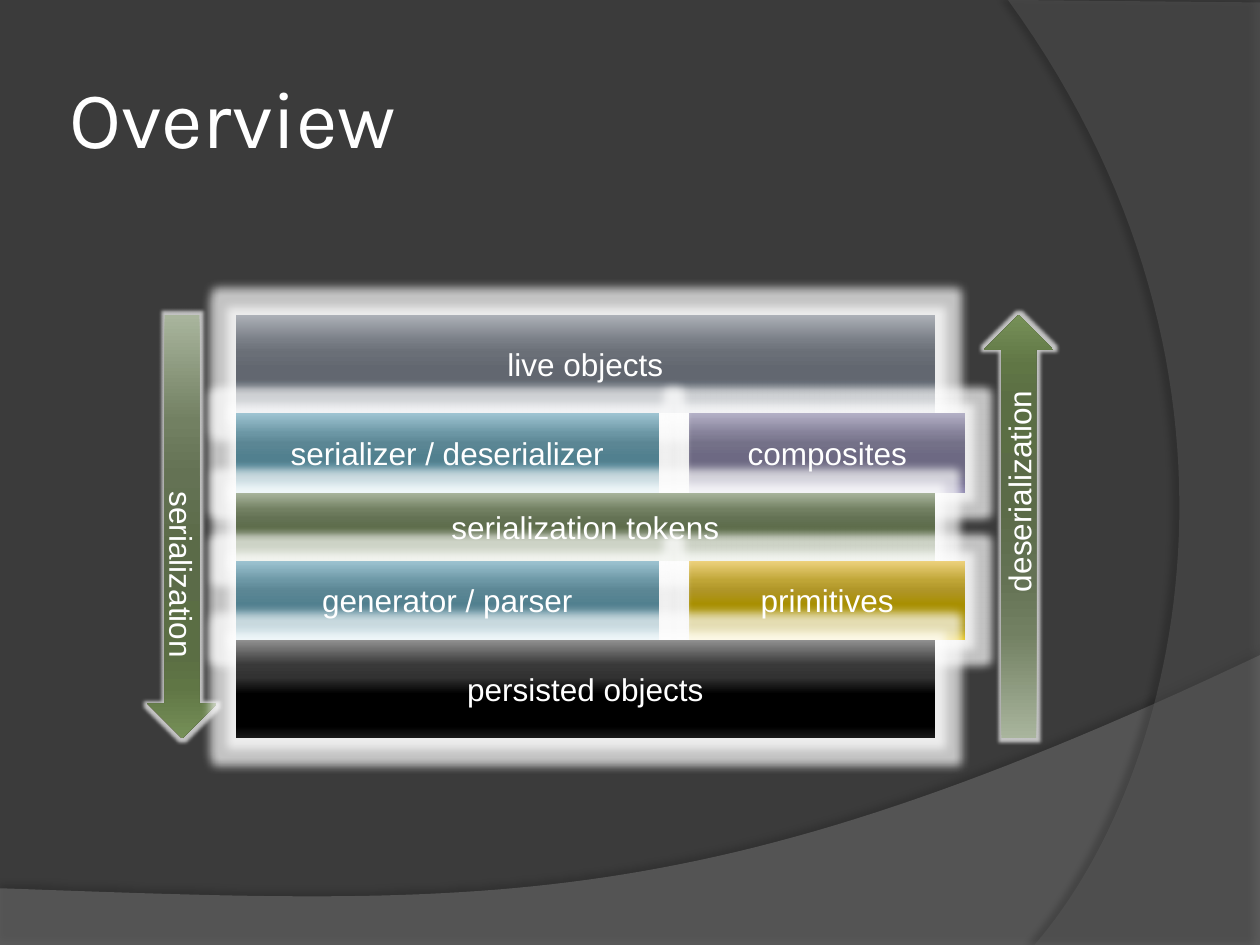
from lxml.etree import SubElement
from pptx import Presentation
from pptx.dml.color import RGBColor as RGB
from pptx.enum.shapes import MSO_SHAPE as SHAPE
from pptx.enum.text import MSO_ANCHOR as ANCHOR, MSO_AUTO_SIZE as FIT, PP_ALIGN as ALIGN
from pptx.oxml.ns import qn
from pptx.util import Inches, Pt

COLORS = {"background": "3B3B3B", "wave": "7F7F7F", "arc": "5E5E5E",
          "white": "FFFFFF", "shadow": "000000"}

# Seven shades per gradient, from top to bottom
STOPS = (0, 25, 38, 55, 80, 88, 100)
GRADIENTS = {
    "green": "A9B59D 728062 647254 5B6B48 5B6E44 607645 769058",
    "grey": "ACB0B7 7A7F87 6A6F77 626770 5F6670 636B77 7B8492",
    "purple": "B3B0C6 86829A 747188 6D6983 6A6684 6F698D 8982AC",
    "blue": "9EC4D2 6C97A5 5B8694 51808F 4A8294 4A8BA0 5DAAC2",
    "gold": "EED27E BFA536 AF9527 A88F00 A68D00 AF9500 E6C100",
    "black": "909090 393939 323232 000000 000000 000000 181818",
}

# Stack geometry
LEFT, TOP = 1.87, 2.5
FULL, MAIN, SIDE, SIDE_LEFT = 5.55, 3.36, 2.19, 5.47
ROWS = [
    (0.78, [("live objects", "grey", LEFT, FULL)]),
    (0.63, [("composites", "purple", SIDE_LEFT, SIDE),
            ("serializer / deserializer", "blue", LEFT, MAIN)]),
    (0.54, [("serialization tokens", "green", LEFT, FULL)]),
    (0.63, [("primitives", "gold", SIDE_LEFT, SIDE),
            ("generator / parser", "blue", LEFT, MAIN)]),
    (0.78, [("persisted objects", "black", LEFT, FULL)]),
]


def add_color(parent, color, alpha=100):
    clr = SubElement(parent, qn("a:srgbClr"), val=color)
    if alpha < 100:
        SubElement(clr, qn("a:alpha"), val=str(alpha * 1000))


def add_effect(sp, tag, color, alpha, **attrs):
    sp.shadow.inherit = False
    effects = sp._element.spPr.find(qn("a:effectLst"))
    effect = SubElement(effects, qn(tag), {k: str(int(v)) for k, v in attrs.items()})
    add_color(effect, color, alpha)


def fill_gradient(sp, name):
    sp.fill.gradient()
    sp.fill.gradient_angle = 270
    stops = sp._element.spPr.find(qn("a:gradFill")).find(qn("a:gsLst"))
    for old in list(stops):
        stops.remove(old)
    for pos, color in zip(STOPS, GRADIENTS[name].split()):
        add_color(SubElement(stops, qn("a:gs"), pos=str(pos * 1000)), color)


def style_run(p, font, size):
    f = p.runs[0].font
    f.name, f.size = font, Pt(size)
    f.color.rgb = RGB.from_string(COLORS["white"])


def add_block(s, kind, text, gradient, box, glow):
    sp = s.shapes.add_shape(kind, *map(Inches, box))
    fill_gradient(sp, gradient)
    sp.line.fill.background()
    add_effect(sp, "a:glow", COLORS["white"], 70, rad=Pt(glow))
    tf = sp.text_frame
    tf.text = text
    tf.word_wrap = True
    tf.vertical_anchor = ANCHOR.MIDDLE
    p = tf.paragraphs[0]
    p.alignment = ALIGN.CENTER
    style_run(p, "Arial", 18)
    return sp


def add_arrow(s, text, left, height, indent, rotation=0):
    sp = add_block(s, SHAPE.DOWN_ARROW, text, "green", (left, TOP, 0.55, height), 4)
    sp.rotation = rotation
    sp.text_frame._txBody.bodyPr.set("vert", "vert")
    pPr = sp.text_frame.paragraphs[0]._p.get_or_add_pPr()
    pPr.set("marL", str(Inches(indent)))
    pPr.set("indent", "0")


def curve(a, b, c, d, steps=60):
    """Points of a cubic curve after its start."""
    for i in range(1, steps + 1):
        t = i / steps
        u = 1 - t
        yield tuple(u**3 * w + 3 * u * u * t * x + 3 * u * t * t * y + t**3 * z
                    for w, x, y, z in zip(a, b, c, d))


def add_backdrop(s, points, color, alpha, shadow_alpha, distance, angle):
    pts = [(Inches(x), Inches(y)) for x, y in points]
    builder = s.shapes.build_freeform(*pts[0])
    builder.add_line_segments(pts[1:], close=True)
    sp = builder.convert_to_shape()
    sp.fill.solid()
    sp.fill.fore_color.rgb = RGB.from_string(color)
    clr = sp._element.spPr.find(qn("a:solidFill"))[0]
    SubElement(clr, qn("a:alpha"), val=str(alpha * 1000))
    sp.line.fill.background()
    add_effect(sp, "a:outerShdw", COLORS["shadow"], shadow_alpha,
               blurRad=Pt(4), dist=Pt(distance), dir=angle * 60000)


def add_title(s, text):
    title = s.shapes.title
    title.left, title.top, title.width, title.height = map(Inches, (0.5, 0.3, 8.17, 1.25))
    tf = title.text_frame
    tf.text = text
    tf.word_wrap = True
    tf.auto_size = FIT.NONE
    tf.vertical_anchor = ANCHOR.MIDDLE
    tf.margin_left = tf.margin_right = tf.margin_top = tf.margin_bottom = Inches(0.05)
    tf.paragraphs[0].alignment = ALIGN.LEFT
    style_run(tf.paragraphs[0], "Karla", 46)


def main():
    prs = Presentation()
    prs.slide_width, prs.slide_height = Inches(10), Inches(7.5)
    s = prs.slides.add_slide(prs.slide_layouts[5])
    s.background.fill.solid()
    s.background.fill.fore_color.rgb = RGB.from_string(COLORS["background"])

    # Backdrop curves
    wave = [(0, 7.05), (0, 7.5), (10, 7.5), (10, 5.2),
            *curve((10, 5.2), (5.59, 7.29), (3.91, 7.19), (0, 7.05))]
    arc = [(10, 0.02), (10, 7.5), (8.21, 7.5),
           *curve((8.21, 7.5), (9.35, 6.19), (10.18, 3), (8, 0))]
    add_backdrop(s, wave, COLORS["wave"], 45, 35, 3.5, 270)
    add_backdrop(s, arc, COLORS["arc"], 40, 45, 4, 180)

    add_title(s, "Overview")

    # Direction arrows span the whole stack
    height = sum(h for h, _ in ROWS)
    add_arrow(s, "serialization", 1.17, height, 0.9)
    add_arrow(s, "deserialization", 7.81, height, 0.7, rotation=180)

    # Layer stack
    top = TOP
    for h, blocks in ROWS:
        for text, gradient, left, width in blocks:
            add_block(s, SHAPE.RECTANGLE, text, gradient, (left, top, width, h), 10)
        top += h

    prs.save("out.pptx")


main()
